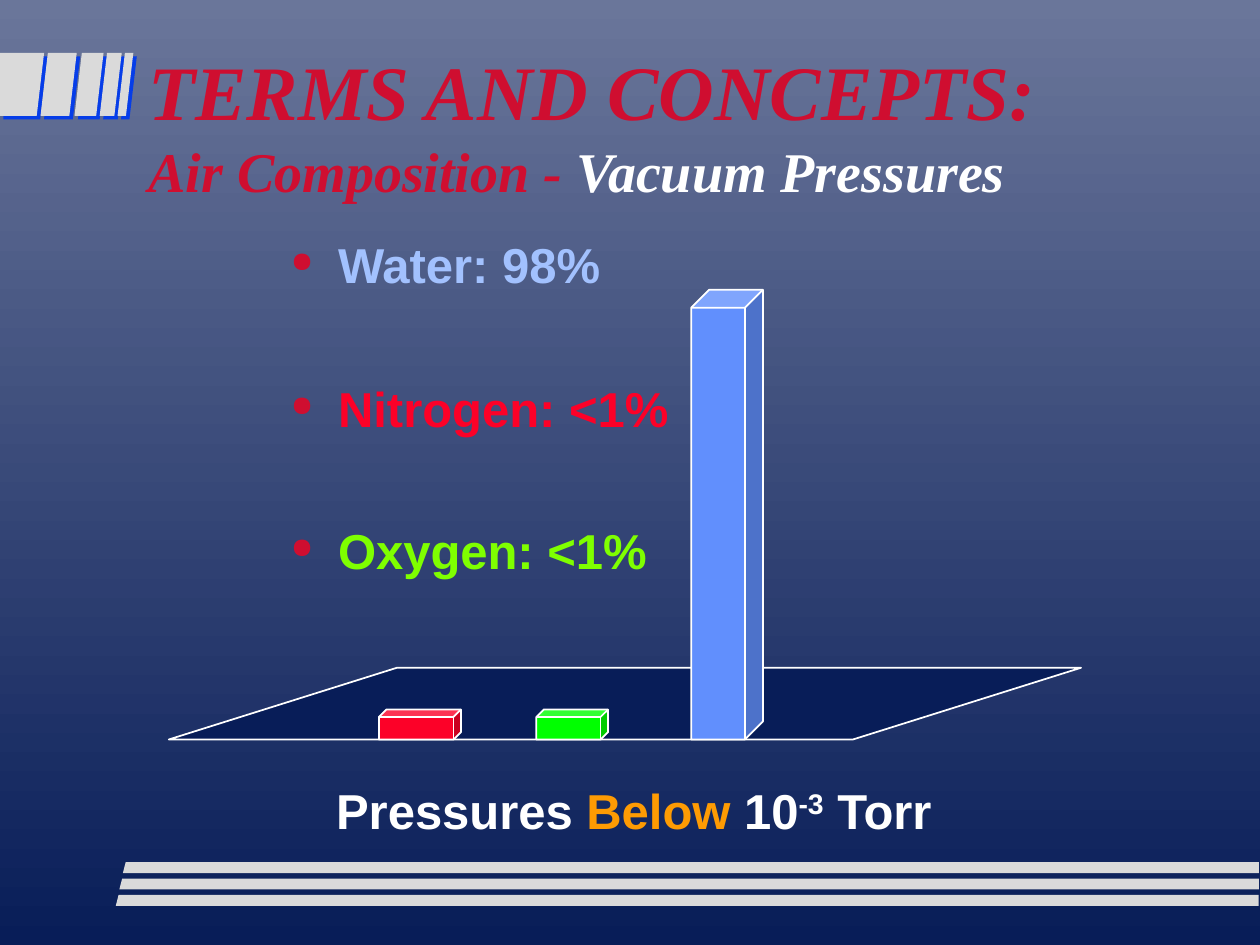
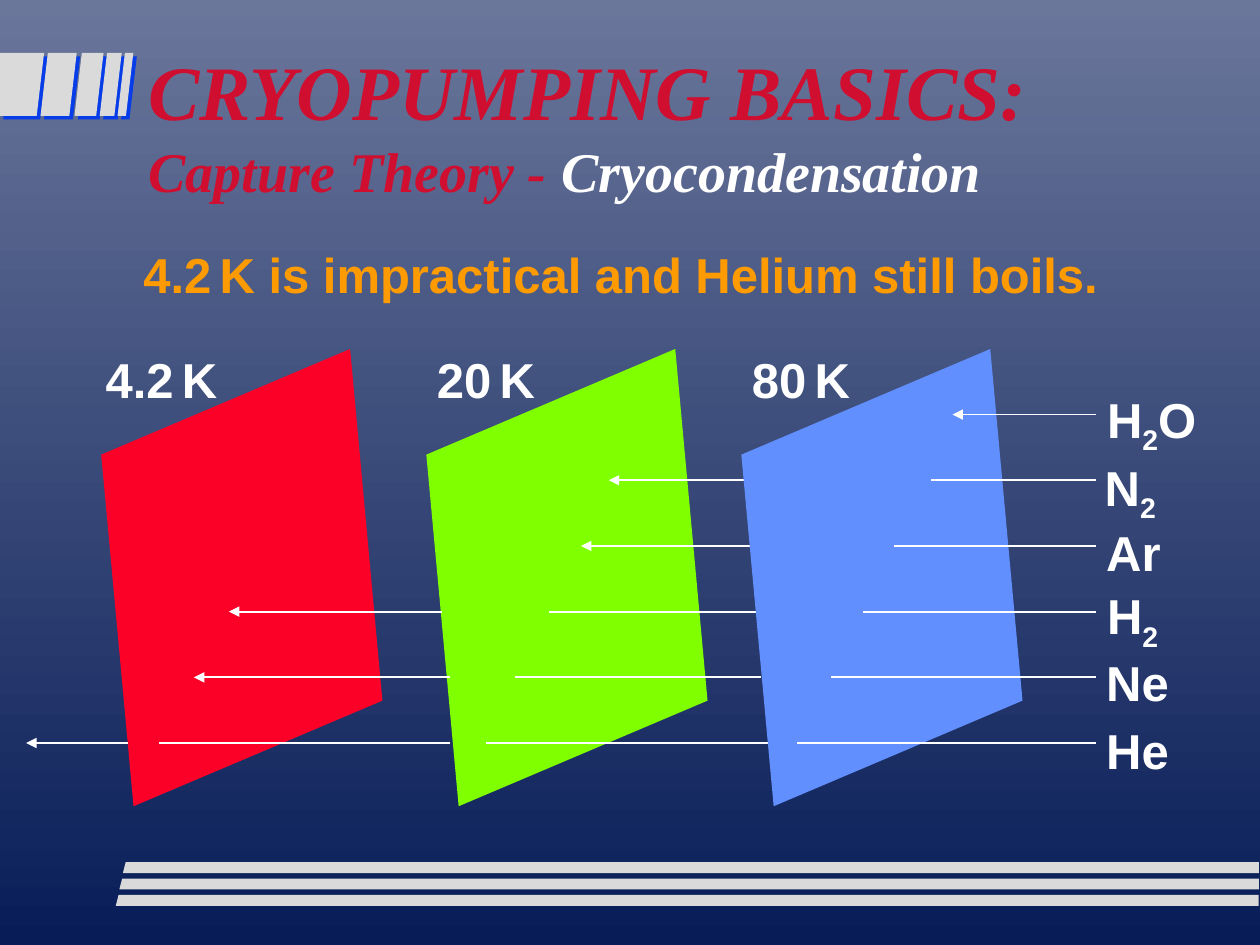
from lxml import etree
from pptx import Presentation
from pptx.dml.color import RGBColor
from pptx.enum.shapes import MSO_CONNECTOR, MSO_SHAPE
from pptx.oxml import parse_xml
from pptx.oxml.ns import nsdecls, qn
from pptx.util import Pt

STRAIGHT = MSO_CONNECTOR.STRAIGHT
CUBE = MSO_SHAPE.CUBE
PARALLELOGRAM = MSO_SHAPE.PARALLELOGRAM

SKY = RGBColor(0x6A, 0x76, 0x9A)
NAVY = RGBColor(0x08, 0x1D, 0x58)
SILVER = RGBColor(0xDA, 0xDA, 0xDA)
CRIMSON = RGBColor(0xCF, 0x0E, 0x30)
WHITE = RGBColor(0xFF, 0xFF, 0xFF)
ORANGE = RGBColor(0xFE, 0x9B, 0x03)
RED = RGBColor(0xFC, 0x01, 0x28)
LIME = RGBColor(0x7F, 0xFF, 0x00)
GREEN = RGBColor(0x00, 0xFF, 0x00)
BLUE = RGBColor(0x61, 0x8F, 0xFD)
PALE_BLUE = RGBColor(0xA2, 0xC1, 0xFE)

TITLE_FONT = "Times New Roman"
BODY_FONT = "Arial"
BODY_SIZE = 28
UNIT_GAP_SIZE = 17  # a narrow space between a number and its unit
SUPERSCRIPT, SUBSCRIPT = 30, -25

FLAG_SHADOW = (
    f'<a:effectLst {nsdecls("a")}><a:outerShdw dist="35560" dir="2700000" '
    'algn="ctr" rotWithShape="0"><a:srgbClr val="063DE8"/></a:outerShdw></a:effectLst>'
)
BULLET = (
    f'<a:buClr {nsdecls("a")}><a:srgbClr val="{CRIMSON}"/></a:buClr>',
    f'<a:buSzPct {nsdecls("a")} val="58000"/>',
    f'<a:buChar {nsdecls("a")} char="●"/>',
)


def add_text(slide, box, runs, font=BODY_FONT, italic=False, bullet=False):
    """Each run is (text, size, colour, baseline percent); "\\n" is a line break."""
    frame = slide.shapes.add_textbox(*[Pt(v) for v in box]).text_frame
    frame.word_wrap = True
    paragraph = frame.paragraphs[0]
    if bullet:
        properties = paragraph._p.get_or_add_pPr()
        properties.set("marL", str(Pt(27)))
        properties.set("indent", str(Pt(-27)))
        for element in BULLET:
            properties.append(parse_xml(element))
    for text, size, colour, baseline in runs:
        if text == "\n":
            paragraph.add_line_break()
            continue
        run = paragraph.add_run()
        run.text = text
        run.font.name = font
        run.font.size = Pt(size)
        run.font.bold = True
        run.font.italic = italic
        run.font.color.rgb = colour
        if baseline:
            run._r.get_or_add_rPr().set("baseline", str(baseline * 1000))


def add_ray(slide, start, end, y, arrow):
    ray = slide.shapes.add_connector(STRAIGHT, Pt(start), Pt(y), Pt(end), Pt(y))
    ray.line.color.rgb = WHITE
    ray.line.width = Pt(1)
    if arrow:
        etree.SubElement(ray.line._get_or_add_ln(), qn("a:tailEnd"), type="triangle")
    etree.SubElement(ray._element.spPr, qn("a:effectLst"))


prs = Presentation()
prs.slide_width, prs.slide_height = Pt(720), Pt(540)
blank = prs.slide_layouts[6]

# Shared background, flags, stripes and title
backdrop = prs.slide_master.background.fill
backdrop.gradient()
backdrop.gradient_angle = 270
for stop, position, colour in zip(backdrop.gradient_stops, (0, 1), (SKY, NAVY)):
    stop.position = position
    stop.color.rgb = colour

FLAG_TOP, FLAG_BOTTOM, FLAG_SLANT = 30.2, 66.2, 4.2
flags = []
for left, right in ((0, 25.2), (27.4, 43.9), (46.8, 59.2), (61.2, 69.6), (71.4, 76.2)):
    flags.append([(left, FLAG_TOP), (right, FLAG_TOP),
                  (right - FLAG_SLANT, FLAG_BOTTOM),
                  (max(left - FLAG_SLANT, 0), FLAG_BOTTOM)])
stripes = []
for i in range(3):
    left, top, right = 71.8 - 2 * i, 492.7 + 9.35 * i, 719.3
    stripes.append([(left, top), (right, top), (right, top + 6.2), (left - 1.6, top + 6.2)])

TITLES = (
    ("TERMS AND CONCEPTS:", "Air Composition - ", "Vacuum Pressures"),
    ("CRYOPUMPING BASICS:", "Capture Theory - ", "Cryocondensation"),
)
slides = []
for heading, topic, subtopic in TITLES:
    slide = prs.slides.add_slide(blank)
    slides.append(slide)
    for outline in flags + stripes:
        points = [(Pt(x), Pt(y)) for x, y in outline]
        builder = slide.shapes.build_freeform(*points[0])
        builder.add_line_segments(points[1:])
        band = builder.convert_to_shape()
        band.fill.solid()
        band.fill.fore_color.rgb = SILVER
        band.line.fill.background()
        if outline in flags:
            band._element.spPr.append(parse_xml(FLAG_SHADOW))
        else:
            band.shadow.inherit = False
    add_text(slide, (77.8, 21.4, 612, 92.9),
             [(heading, 44, CRIMSON, 0), ("\n", 0, None, 0),
              (topic, 32, CRIMSON, 0), (subtopic, 32, WHITE, 0)],
             font=TITLE_FONT, italic=True)

# Slide 1: what is left in the air under vacuum
composition, condensation = slides
add_text(composition, (185, 442.3, 411, 45),
         [("Pressures ", BODY_SIZE, WHITE, 0), ("Below", BODY_SIZE, ORANGE, 0),
          (" 10", BODY_SIZE, WHITE, 0), ("-3", BODY_SIZE, WHITE, SUPERSCRIPT),
          (" Torr", BODY_SIZE, WHITE, 0)])
for gas_share, top, colour in (("Water: 98%", 130.3, PALE_BLUE),
                               ("Nitrogen: <1%", 212.8, RED),
                               ("Oxygen: <1%", 293.8, LIME)):
    add_text(composition, (159.1, top, 246, 45),
             [(gas_share, BODY_SIZE, colour, 0)], bullet=True)

FLOOR = 422.6
for kind, left, width, height, adjustment, colour in (
        (PARALLELOGRAM, 96.5, 521.3, 41, 3.18, NAVY),
        (CUBE, 216.5, 46.9, 17.2, 0.25, RED),
        (CUBE, 306.5, 41, 17.2, 0.25, GREEN),
        (CUBE, 395, 41, 257, 0.25, BLUE)):
    block = composition.shapes.add_shape(
        kind, Pt(left), Pt(FLOOR - height), Pt(width), Pt(height))
    block.adjustments[0] = adjustment
    block.fill.solid()
    block.fill.fore_color.rgb = colour
    block.line.color.rgb = WHITE
    block.line.width = Pt(1)
    block.shadow.inherit = False

# Slide 2: gases passing cold panels until one captures them
H, TWO = ("H", BODY_SIZE, WHITE, 0), ("2", BODY_SIZE, WHITE, SUBSCRIPT)
RAY_TOP, RAY_PITCH, RAY_START = 236.9, 37.54, 626.2
# (formula, label left, label top, end at the 80 K panel, segments behind that panel)
GASES = (
    ([H, TWO, ("O", BODY_SIZE, WHITE, 0)], 625.5, 218.9, 544.3, ()),
    ([("N", BODY_SIZE, WHITE, 0), TWO], 624.2, 257.8, 532.2, ((439.2, 347.9),)),
    ([("Ar", BODY_SIZE, WHITE, 0)], 625, 295.2, 511, ((429.1, 332),)),
    ([H, TWO], 625.5, 331.2, 493.2, ((432, 313.7), (252.7, 130.8))),
    ([("Ne", BODY_SIZE, WHITE, 0)], 625, 369.2, 475, ((434.9, 294.2), (257.4, 110.8))),
    ([("He", BODY_SIZE, WHITE, 0)], 625, 408.2, 455.4,
     ((440, 277.6), (257, 90.7), (72.9, 15))),
)
PANELS = (("20", 216, 242.6, LIME), ("4.2", 30.2, 53.3, RED),
          ("80", 396, 422.6, BLUE))

add_text(condensation, (74.9, 136.4, 576, 54),
         [("4.2", BODY_SIZE, ORANGE, 0), (" ", UNIT_GAP_SIZE, ORANGE, 0),
          ("K is impractical and Helium still boils.", BODY_SIZE, ORANGE, 0)])
for kelvins, panel_left, label_left, colour in PANELS:
    if colour == BLUE:
        for row, (_, _, _, _, segments) in enumerate(GASES):
            for start, end in segments:
                arrow = (start, end) == segments[-1]
                add_ray(condensation, start, end, RAY_TOP + RAY_PITCH * row, arrow)
    panel = condensation.shapes.add_shape(
        PARALLELOGRAM, Pt(panel_left), Pt(234), Pt(216), Pt(192.2))
    panel.adjustments[0] = 0.32
    panel.rotation = 337
    panel.fill.solid()
    panel.fill.fore_color.rgb = colour
    panel.line.fill.background()
    panel.shadow.inherit = False

for kelvins, _, label_left, _ in PANELS:
    add_text(condensation, (label_left, 196.2, 100, 40),
             [(kelvins, BODY_SIZE, WHITE, 0), (" ", UNIT_GAP_SIZE, WHITE, 0),
              ("K", BODY_SIZE, WHITE, 0)])

for row, (formula, left, top, end, segments) in enumerate(GASES):
    add_ray(condensation, RAY_START, end, RAY_TOP + RAY_PITCH * row, not segments)
    add_text(condensation, (left, top, 90, 45), formula)

prs.save("out.pptx")
